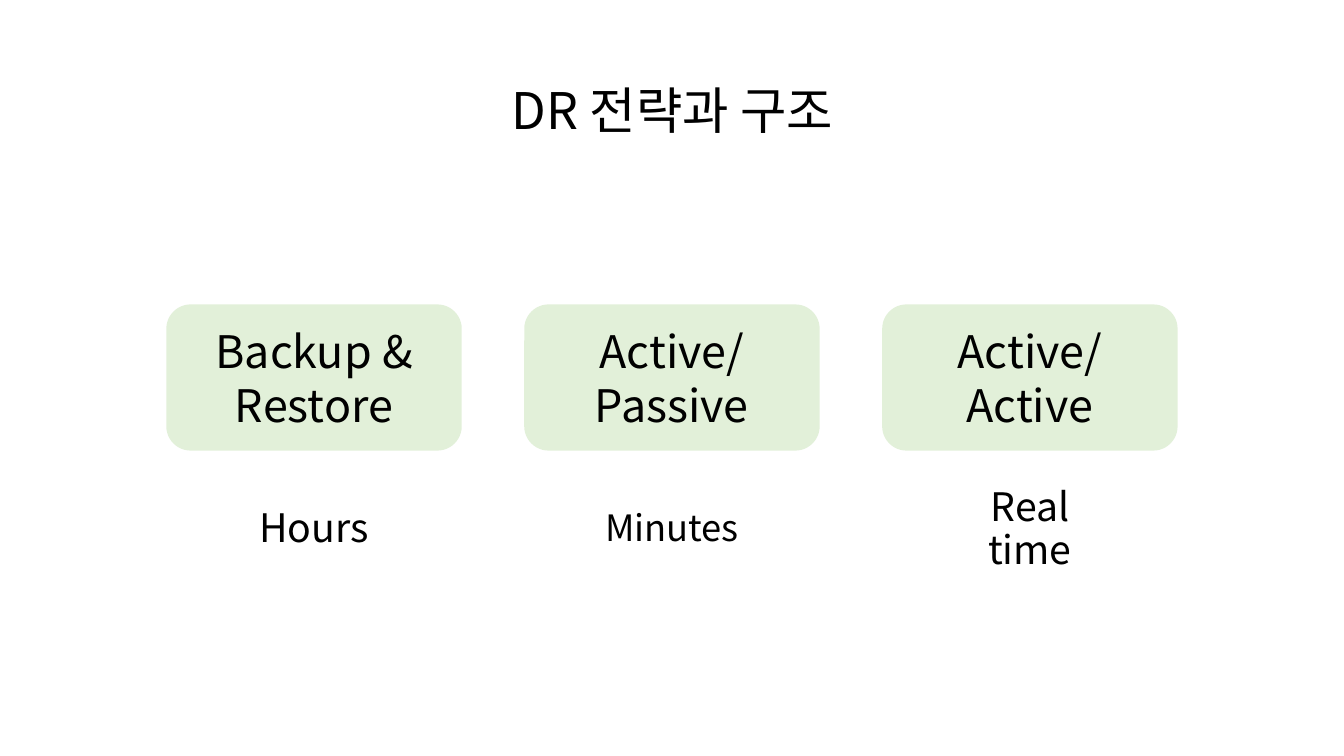
"""Build a slide that compares three disaster recovery strategies."""
from lxml import etree
from pptx import Presentation
from pptx import util as u
from pptx.dml.color import RGBColor
from pptx.enum import shapes, text
from pptx.oxml.ns import qn

FONT = "Noto Sans CJK KR"
BLACK = RGBColor(0x00, 0x00, 0x00)
GREEN = RGBColor(0xE2, 0xF0, 0xD9)
BOX_LEFT, BOX_STEP, BOX_WIDTH = 1.65, 3.55, 2.93
STRATEGIES = [
    ("Backup &\nRestore", "Hours", 28, 1.32),
    ("Active/\nPassive", "Minutes", 25.9, 1.57),
    ("Active/\nActive", "Real time", 28, 1.82),
]


def write(sp, words, size, line_spacing=None, space_before=None):
    tf = sp.text_frame
    tf.word_wrap = True
    tf.auto_size = text.MSO_AUTO_SIZE.NONE
    tf.vertical_anchor = text.MSO_ANCHOR.MIDDLE
    p = tf.paragraphs[0]
    p.text = words
    p.alignment = text.PP_ALIGN.CENTER
    p.line_spacing = line_spacing
    p.space_before = space_before
    for r in p.runs:
        r.font.size = u.Pt(size)
        r.font.name = FONT
        r.font.color.rgb = BLACK
        etree.SubElement(r.font._element, qn("a:ea"), typeface=FONT)


def add_title(s, words):
    sp = s.shapes.title
    sp.left, sp.top = u.Inches(0.92), u.Inches(0.4)
    sp.width, sp.height = u.Inches(11.5), u.Inches(1.45)
    write(sp, words, 36, line_spacing=0.9)


def add_box(s, left, words):
    sp = s.shapes.add_shape(
        shapes.MSO_SHAPE.ROUNDED_RECTANGLE,
        u.Inches(left), u.Inches(3.02), u.Inches(BOX_WIDTH), u.Inches(1.45))
    sp.shadow.inherit = False
    sp.fill.solid()
    sp.fill.fore_color.rgb = GREEN
    sp.line.fill.background()
    write(sp, words, 32)


def add_label(s, center, words, size, width):
    sp = s.shapes.add_textbox(
        u.Inches(center - width / 2), u.Inches(4.84),
        u.Inches(width), u.Inches(0.84))
    write(sp, words, size, line_spacing=0.9, space_before=u.Pt(10))


def main():
    prs = Presentation()
    prs.slide_width, prs.slide_height = u.Inches(13.33), u.Inches(7.5)
    s = prs.slides.add_slide(prs.slide_layouts[5])
    add_title(s, "DR 전략과 구조")
    for i, (strategy, recovery_time, size, width) in enumerate(STRATEGIES):
        left = BOX_LEFT + i * BOX_STEP
        add_box(s, left, strategy)
        add_label(s, left + BOX_WIDTH / 2, recovery_time, size, width)
    prs.save("out.pptx")


if __name__ == "__main__":
    main()
